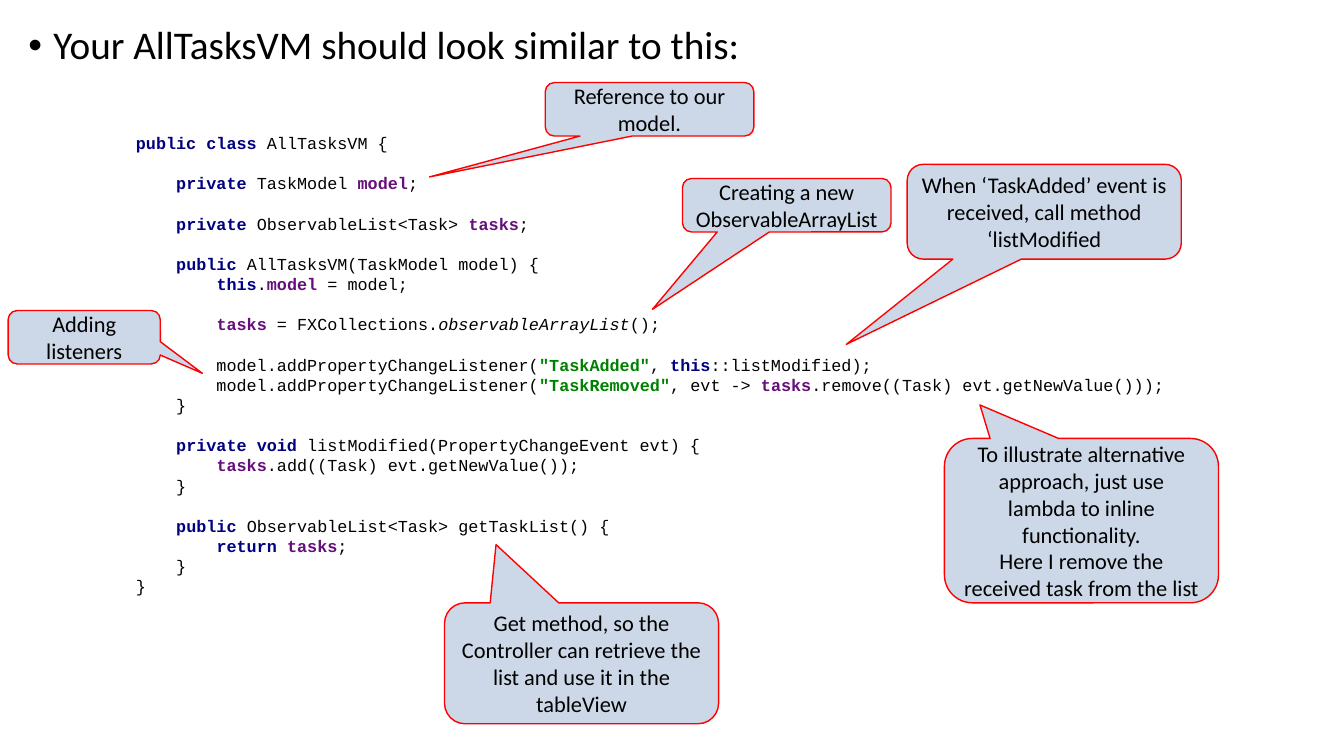
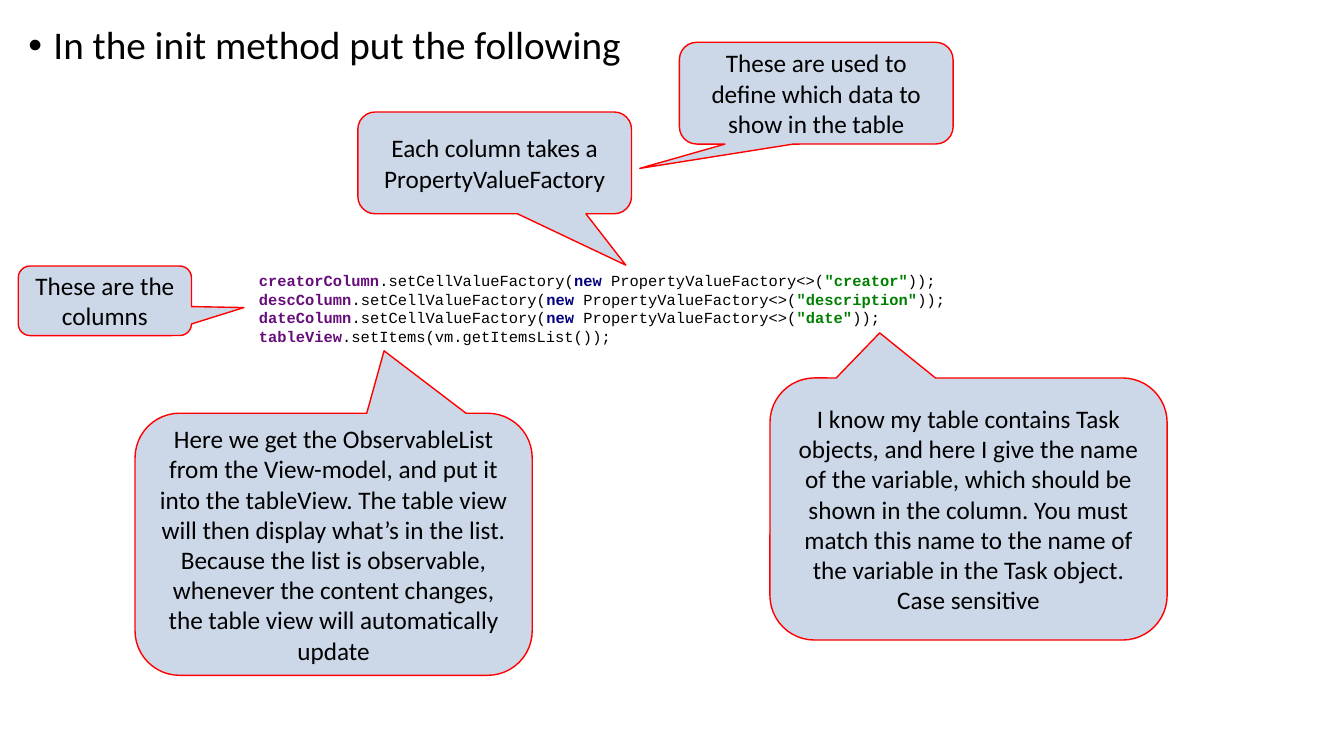
from dataclasses import dataclass

from lxml.etree import SubElement
from pptx import Presentation
from pptx.dml.color import RGBColor
from pptx.enum.shapes import MSO_SHAPE
from pptx.enum.text import MSO_ANCHOR, MSO_AUTO_SIZE, PP_ALIGN
from pptx.oxml.ns import qn
from pptx.util import Pt


@dataclass(frozen=True)
class Theme:
    text_font: str = "Calibri"
    code_font: str = "Courier New"
    title_size: int = 28
    code_leading: float = 1.2
    corner: float = 0.17
    text: RGBColor = RGBColor(0, 0, 0)
    paper: RGBColor = RGBColor(0xFF, 0xFF, 0xFF)
    callout_fill: RGBColor = RGBColor(0xCC, 0xD8, 0xE7)
    callout_line: RGBColor = RGBColor(0xFF, 0, 0)
    keyword: RGBColor = RGBColor(0, 0, 0x80)
    field: RGBColor = RGBColor(0x66, 0x0E, 0x7A)
    literal: RGBColor = RGBColor(0, 0x80, 0)


THEME = Theme()
SLIDE_SIZE = (960, 540)
TITLE_BOX = (13, 15, 932, 42)

# Code marks, placed on both sides of a token: (colour, bold, italic)
MARKS = {
    "@": (THEME.keyword, True, False),
    "#": (THEME.field, True, False),
    "$": (THEME.literal, True, False),
    "~": (THEME.text, False, True),
}

# Content: each callout is (box, tip of the pointer, paragraphs)
SLIDES = [
    {
        "title": "Your AllTasksVM should look similar to this:",
        "code_box": (90, 89.3, 761, 342),
        "code_size": 12,
        "code": [
            "@public class@ AllTasksVM {",
            "",
            "    @private@ TaskModel #model#;",
            "",
            "    @private@ ObservableList<Task> #tasks#;",
            "",
            "    @public@ AllTasksVM(TaskModel model) {",
            "        @this@.#model# = model;",
            "",
            "        #tasks# = FXCollections.~observableArrayList~();",
            "",
            '        model.addPropertyChangeListener($"TaskAdded"$, @this@::listModified);',
            '        model.addPropertyChangeListener($"TaskRemoved"$, evt -> '
            "#tasks#.remove((Task) evt.getNewValue()));",
            "    }",
            "",
            "    @private void@ listModified(PropertyChangeEvent evt) {",
            "        #tasks#.add((Task) evt.getNewValue());",
            "    }",
            "",
            "    @public@ ObservableList<Task> getTaskList() {",
            "        @return@ #tasks#;",
            "    }",
            "}",
        ],
        "callout_size": 16,
        "callouts": [
            ((389.5, 59, 149, 38.2), (306.8, 126.4), ["Reference to our model."]),
            ((487.5, 127.5, 149, 38.2), (466, 221), ["Creating a new ObservableArrayList"]),
            ((5.8, 221.8, 108.7, 38.2), (144.6, 266.7), ["Adding listeners"]),
            ((648, 117.4, 195.8, 67.7), (604.5, 246),
             ["When ‘TaskAdded’ event is received, call method ‘listModified"]),
            ((674.6, 313.2, 195.8, 117.4), (700, 289.3),
             ["To illustrate alternative approach, just use lambda to inline functionality.",
              "Here I remove the received task from the list"]),
            ((317.5, 430.6, 195.8, 86.4), (354.3, 389),
             ["Get method, so the Controller can retrieve the list and use it in the tableView"]),
        ],
    },
    {
        "title": "In the init method put the following",
        "code_box": (177.8, 190, 510, 60.5),
        "code_size": 11,
        "code": [
            '#creatorColumn#.setCellValueFactory(@new@ PropertyValueFactory<>($"creator"$));',
            '#descColumn#.setCellValueFactory(@new@ PropertyValueFactory<>($"description"$));',
            '#dateColumn#.setCellValueFactory(@new@ PropertyValueFactory<>($"date"$));',
            "#tableView#.setItems(vm.getItemsList());",
        ],
        "callout_size": 18,
        "callouts": [
            ((13, 190, 123.8, 49.7), (174.2, 219.7), ["These are the columns"]),
            ((255.6, 80, 195.5, 72.7), (447, 189.4),
             ["Each column takes a PropertyValueFactory"]),
            ((485.3, 30.2, 195.5, 72.7), (457, 120.3),
             ["These are used to define which data to show in the table"]),
            ((550, 270, 283.7, 187.2), (628.4, 237.8),
             ["I know my table contains Task objects, and here I give the name of the "
              "variable, which should be shown in the column. You must match this name to "
              "the name of the variable in the Task object. Case sensitive"]),
            ((96.5, 295.2, 283.7, 187.2), (274.4, 250.6),
             ["Here we get the ObservableList from the View-model, and put it into the "
              "tableView. The table view will then display what’s in the list. Because the "
              "list is observable, whenever the content changes, the table view will "
              "automatically update"]),
        ],
    },
]


def points(box):
    return [Pt(length) for length in box]


def add_run(paragraph, text, size, font=THEME.text_font, color=THEME.text,
            bold=False, italic=False):
    run = paragraph.add_run()
    run.text = text
    run.font.name, run.font.size = font, Pt(size)
    run.font.bold, run.font.italic = bold, italic
    run.font.color.rgb = color


def set_title(slide, text):
    title = slide.shapes.title
    title.left, title.top, title.width, title.height = points(TITLE_BOX)
    frame = title.text_frame
    frame.auto_size = MSO_AUTO_SIZE.NONE
    frame.vertical_anchor = MSO_ANCHOR.TOP
    heading = frame.paragraphs[0]
    # Bullet with a hanging indent
    properties = heading._p.get_or_add_pPr()
    properties.set("marL", str(Pt(18)))
    properties.set("indent", str(-Pt(18)))
    SubElement(properties, qn("a:buFont"), typeface="Arial")
    SubElement(properties, qn("a:buChar"), char="•")
    heading.alignment = PP_ALIGN.LEFT
    heading.line_spacing = 0.9
    add_run(heading, text, THEME.title_size)


def split_tokens(line):
    """Yield (text, style) for each stretch of a marked code line."""
    plain = (THEME.text, False, False)
    text, style = "", plain
    for char in line:
        if char in MARKS:
            if text:
                yield text, style
            text, style = "", MARKS[char] if style == plain else plain
        else:
            text += char
    if text:
        yield text, style


def add_code(slide, box, lines, size):
    listing = slide.shapes.add_textbox(*points(box))
    listing.fill.solid()
    listing.fill.fore_color.rgb = THEME.paper
    frame = listing.text_frame
    frame.word_wrap = True
    frame.vertical_anchor = MSO_ANCHOR.MIDDLE
    paragraph = frame.paragraphs[0]
    paragraph.line_spacing = Pt(size * THEME.code_leading)
    for number, line in enumerate(lines):
        if number:
            paragraph.add_line_break()
        for text, style in split_tokens(line):
            add_run(paragraph, text, size, THEME.code_font, *style)


def add_callout(slide, box, tip, paragraphs, size):
    left, top, width, height = box
    callout = slide.shapes.add_shape(MSO_SHAPE.ROUNDED_RECTANGULAR_CALLOUT, *points(box))
    # The pointer is measured from the centre, as a share of the box
    callout.adjustments[0] = (tip[0] - left) / width - 0.5
    callout.adjustments[1] = (tip[1] - top) / height - 0.5
    callout.adjustments[2] = THEME.corner
    callout.shadow.inherit = False
    callout.fill.solid()
    callout.fill.fore_color.rgb = THEME.callout_fill
    callout.line.color.rgb = THEME.callout_line
    callout.line.width = Pt(1)
    frame = callout.text_frame
    frame.word_wrap = True
    frame.vertical_anchor = MSO_ANCHOR.MIDDLE
    for number, text in enumerate(paragraphs):
        paragraph = frame.add_paragraph() if number else frame.paragraphs[0]
        paragraph.alignment = PP_ALIGN.CENTER
        add_run(paragraph, text, size)


def main():
    deck = Presentation()
    deck.slide_width, deck.slide_height = points(SLIDE_SIZE)
    title_only = deck.slide_layouts[5]
    for content in SLIDES:
        slide = deck.slides.add_slide(title_only)
        set_title(slide, content["title"])
        add_code(slide, content["code_box"], content["code"], content["code_size"])
        for box, tip, paragraphs in content["callouts"]:
            add_callout(slide, box, tip, paragraphs, content["callout_size"])
    deck.save("out.pptx")


if __name__ == "__main__":
    main()
